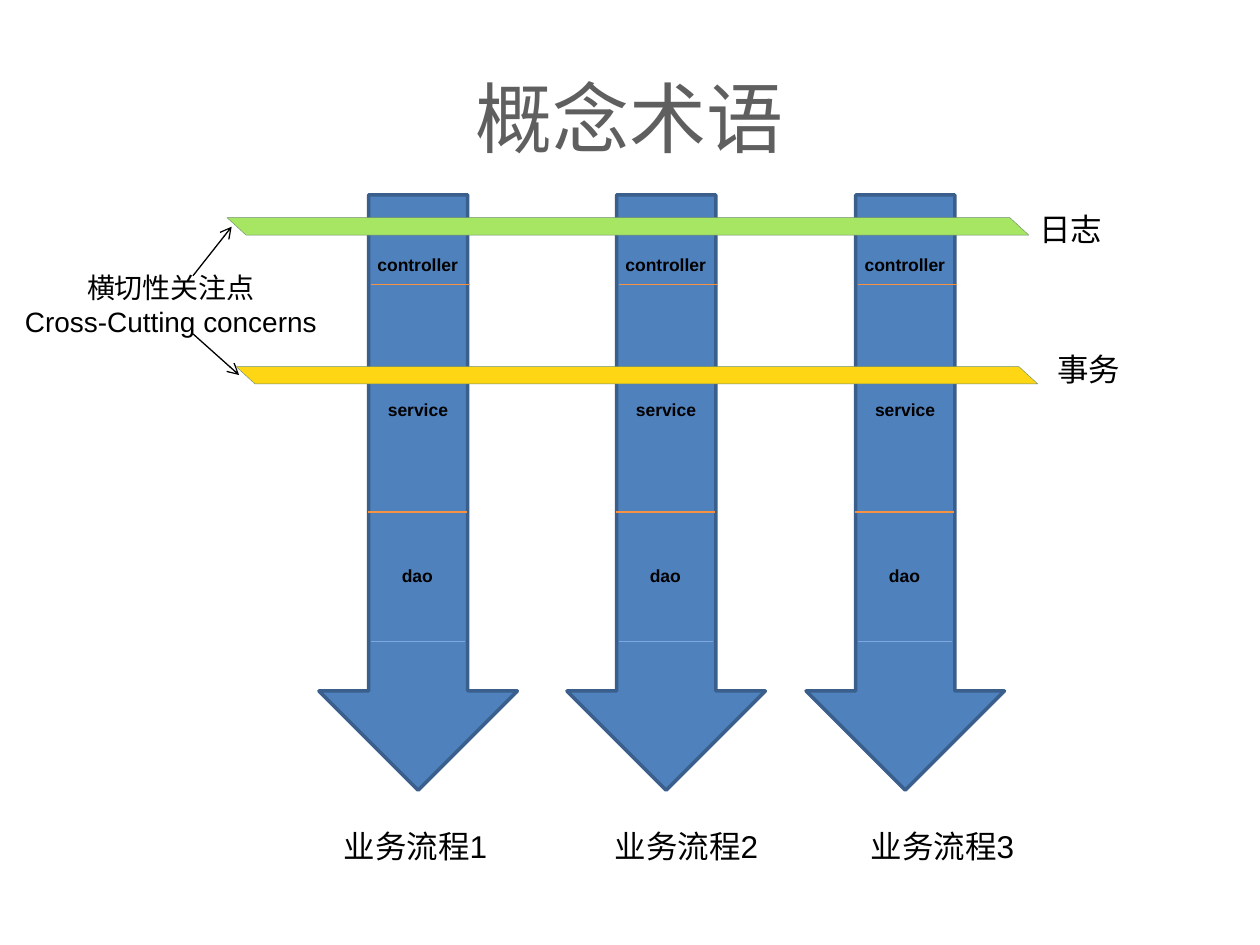
"""Builds a slide on cross-cutting concerns across three business flows."""
from dataclasses import dataclass

from lxml import etree
from pptx import Presentation
from pptx.dml.color import RGBColor
from pptx.enum.shapes import MSO_CONNECTOR, MSO_SHAPE
from pptx.enum.text import MSO_ANCHOR, PP_ALIGN
from pptx.oxml.ns import qn
from pptx.util import Cm, Pt

STRAIGHT = MSO_CONNECTOR.STRAIGHT
DOWN_ARROW = MSO_SHAPE.DOWN_ARROW
LEFT, CENTER = PP_ALIGN.LEFT, PP_ALIGN.CENTER
TOP, MIDDLE = MSO_ANCHOR.TOP, MSO_ANCHOR.MIDDLE
LATIN_FONT, CHINESE_FONT = "Arial", "Noto Sans CJK SC"
BLACK, ORANGE, PALE_BLUE = "000000", "F69240", "7DA7DD"


@dataclass
class Flow:
    name: str
    left: float
    name_left: float


@dataclass
class Layer:
    name: str
    offset: float
    top: float
    width: float
    divider_offset: float
    divider_top: float
    divider_width: float
    divider_color: str


@dataclass
class Concern:
    name: str
    left: float
    top: float
    color: str
    name_left: float
    name_top: float


FLOWS = [
    Flow("业务流程1", 6.43, 6.68),
    Flow("业务流程2", 11.43, 12.14),
    Flow("业务流程3", 16.25, 17.3),
]
LAYERS = [
    Layer("controller", 0.93, 5, 2.31, 1.05, 5.74, 2, ORANGE),
    Layer("service", 1.14, 7.92, 1.8, 0.99, 10.32, 2, ORANGE),
    Layer("dao", 1.42, 11.26, 1.14, 1.05, 12.93, 1.9, PALE_BLUE),
]
CONCERNS = [
    Concern("日志", 4.58, 4.39, "A6E663", 20.7, 4.11),
    Concern("事务", 4.76, 7.39, "FFD613", 21.06, 6.93),
]
POINTERS = [((3.89, 5.56), (4.67, 4.57)), ((3.89, 6.73), (4.82, 7.56))]


def rgb(color: str) -> RGBColor:
    """Return the colour of a hex string."""
    return RGBColor.from_string(color)


def write(frame, text: str, *, size: float, color: str = BLACK, bold: bool = False,
          font: str = LATIN_FONT, align=LEFT, anchor=TOP, wrap: bool = False) -> None:
    """Fill a text frame, one paragraph to a line of text."""
    frame.text = text
    frame.word_wrap = wrap
    frame.vertical_anchor = anchor
    for paragraph in frame.paragraphs:
        paragraph.alignment = align
        for run in paragraph.runs:
            run.font.name, run.font.size, run.font.bold = font, Pt(size), bold
            run.font.color.rgb = rgb(color)
            east_asian = etree.SubElement(run._r.get_or_add_rPr(), qn("a:ea"))
            east_asian.set("typeface", CHINESE_FONT)


def add_label(shapes, text: str, left: float, top: float, width: float, height: float,
              **text_format) -> None:
    """Add a text box."""
    box = shapes.add_textbox(Cm(left), Cm(top), Cm(width), Cm(height))
    write(box.text_frame, text, **text_format)


def add_line(shapes, start: tuple, end: tuple, color: str, arrow: bool = False) -> None:
    """Add a thin straight line, with an open arrowhead if asked."""
    line = shapes.add_connector(STRAIGHT, *map(Cm, start + end))
    line.line.color.rgb = rgb(color)
    line.line.width = Pt(0.75)
    if arrow:
        head = etree.SubElement(line.line._get_or_add_ln(), qn("a:tailEnd"))
        head.set("type", "arrow")
    etree.SubElement(line._element.spPr, qn("a:effectLst"))


def paint(shape, fill: str, outline: str, width: float) -> None:
    """Set fill and outline and drop the shadow."""
    shape.shadow.inherit = False
    shape.fill.solid()
    shape.fill.fore_color.rgb = rgb(fill)
    shape.line.color.rgb = rgb(outline)
    shape.line.width = Pt(width)


def add_flow(slide, flow: Flow) -> None:
    """Add a grouped down arrow with its layers, and its name below."""
    shapes = slide.shapes.add_group_shape().shapes
    arrow = shapes.add_shape(DOWN_ARROW, Cm(flow.left), Cm(3.93), Cm(4), Cm(12))
    paint(arrow, "4F81BD", "3A5F8C", 2)
    for layer in LAYERS:
        start = flow.left + layer.divider_offset
        add_line(shapes, (start, layer.divider_top),
                 (start + layer.divider_width, layer.divider_top), layer.divider_color)
        add_label(shapes, layer.name, flow.left + layer.offset, layer.top,
                  layer.width, 0.68, size=10, bold=True)
    add_label(slide.shapes, flow.name, flow.name_left, 16.54, 3.76, 1.03, size=18)


def add_concern(slide, concern: Concern) -> None:
    """Add a slanted bar across the flows, and its name at the right."""
    left, top = concern.left, concern.top
    length, slant, thickness = 15.78, 0.38, 0.35
    builder = slide.shapes.build_freeform(Cm(left), Cm(top))
    corners = [(left + length, top), (left + length + slant, top + thickness),
               (left + slant, top + thickness)]
    builder.add_line_segments([(Cm(x), Cm(y)) for x, y in corners])
    paint(builder.convert_to_shape(), concern.color, "6F8F6F", 0.25)
    add_label(slide.shapes, concern.name, concern.name_left, concern.name_top,
              2.8, 1.03, size=18, wrap=True)


def main() -> None:
    """Build and save the slide."""
    presentation = Presentation()
    presentation.slide_width, presentation.slide_height = Cm(25.4), Cm(19.05)
    slide = presentation.slides.add_slide(presentation.slide_layouts[5])
    title = slide.shapes.title
    title.left, title.top, title.width, title.height = map(Cm, (1.27, 0.76, 22.86, 3.18))
    write(title.text_frame, "概念术语", size=44, color="5F5F5F", font=CHINESE_FONT,
          align=CENTER, anchor=MIDDLE, wrap=True)
    for flow in FLOWS:
        add_flow(slide, flow)
    for start, end in POINTERS:
        add_line(slide.shapes, start, end, BLACK, arrow=True)
    add_label(slide.shapes, "横切性关注点\nCross-Cutting concerns", -0.2, 5.33, 7.29, 1.63,
              size=16, align=CENTER, wrap=True)
    for concern in CONCERNS:
        add_concern(slide, concern)
    presentation.save("out.pptx")


if __name__ == "__main__":
    main()
